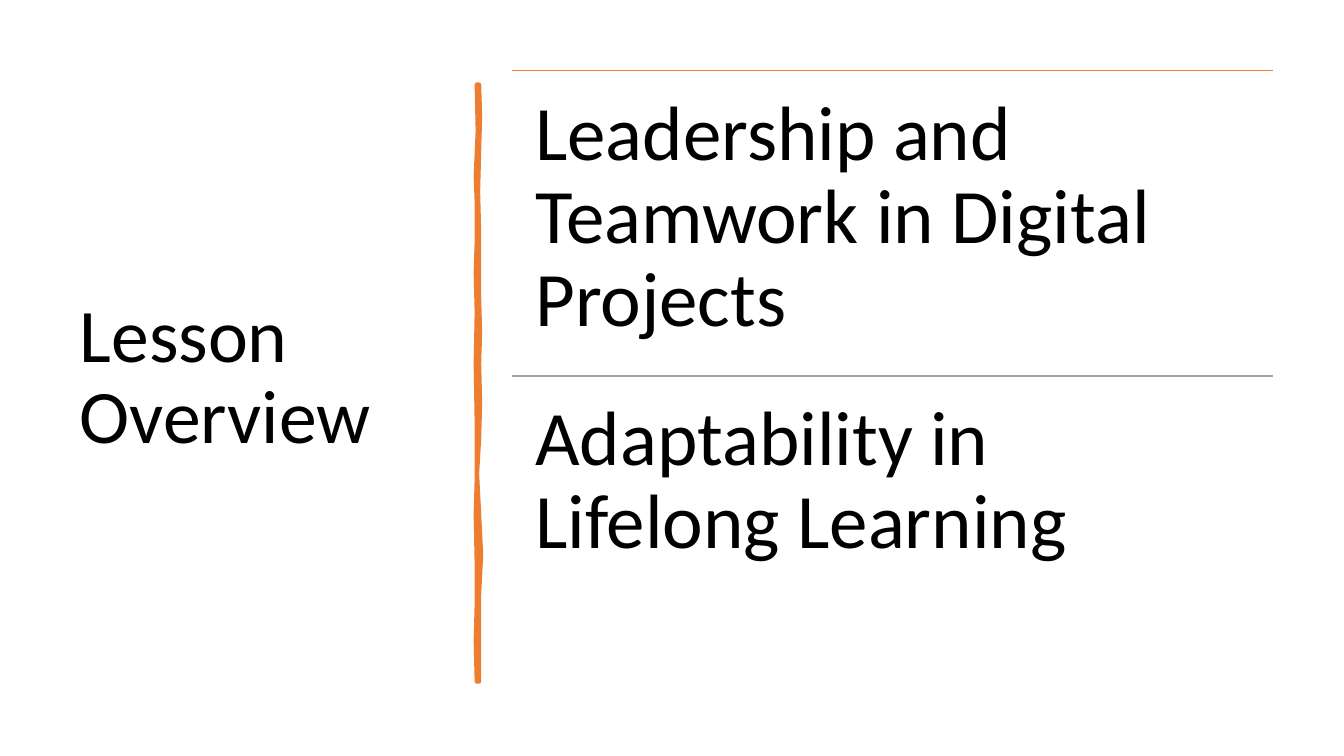
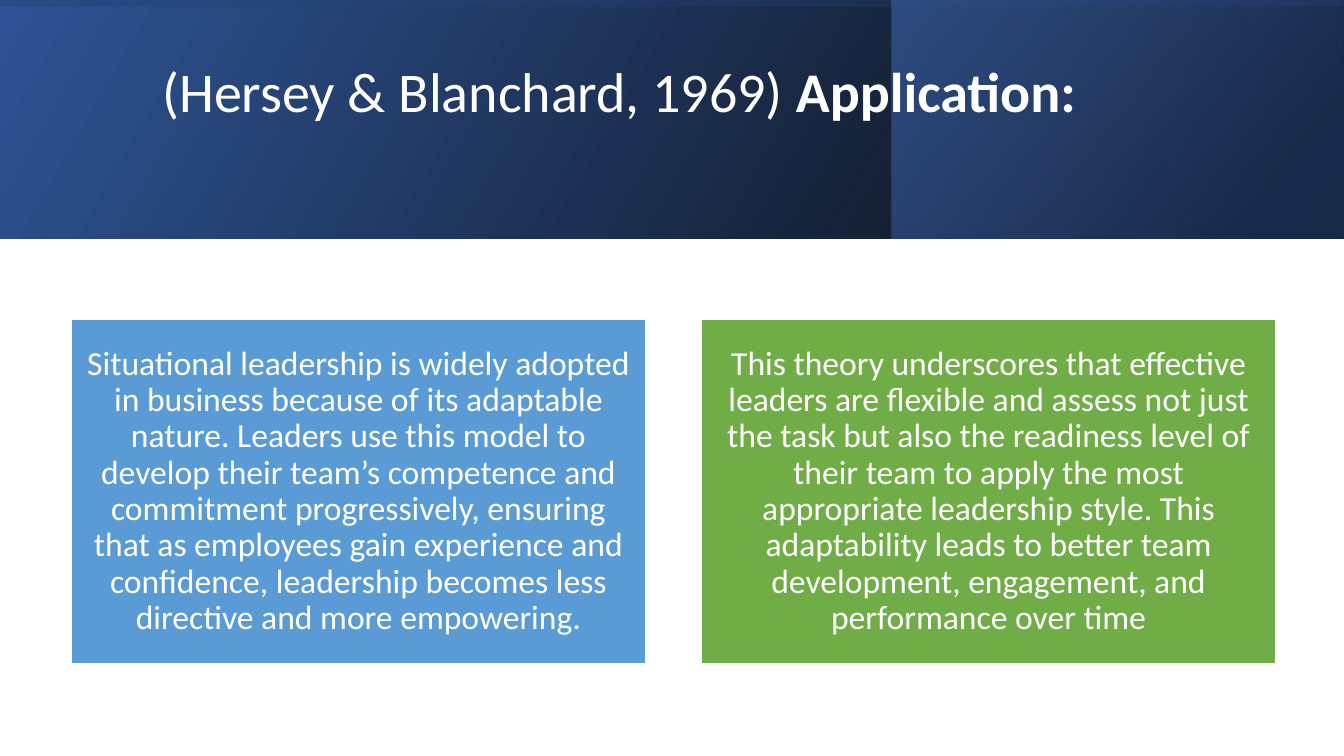
from lxml import etree
from pptx import Presentation
from pptx.dml.color import RGBColor
from pptx.enum import shapes, text
from pptx.oxml.ns import qn
from pptx.util import Inches, Pt

# Shared style
FONT = "Calibri"
BLACK, WHITE, ORANGE, GREY = "000000", "FFFFFF", "ED7D31", "A5A5A5"
BLUE, GREEN = "5B9BD5", "70AD47"
LEFT, CENTER = text.PP_ALIGN.LEFT, text.PP_ALIGN.CENTER
TOP, MIDDLE = text.MSO_ANCHOR.TOP, text.MSO_ANCHOR.MIDDLE

# Content: runs are (text, bold)
OVERVIEW_TITLE = [("Lesson Overview", False)]
TOPICS = [
    ("Leadership and Teamwork in Digital Projects", ORANGE),
    ("Adaptability in Lifelong Learning", GREY),
]
APPLICATION_TITLE = [("(Hersey & Blanchard, 1969) ", False), ("Application:", True)]
CARDS = [
    ("Situational leadership is widely adopted in business because of its "
     "adaptable nature. Leaders use this model to develop their team’s "
     "competence and commitment progressively, ensuring that as employees gain "
     "experience and confidence, leadership becomes less directive and more "
     "empowering.", BLUE),
    ("This theory underscores that effective leaders are flexible and assess "
     "not just the task but also the readiness level of their team to apply "
     "the most appropriate leadership style. This adaptability leads to better "
     "team development, engagement, and performance over time", GREEN),
]

# Header bands: box, rotation, clockwise gradient angle, (position, colour, opacity %)
BANDS = [
    ((0, 0, 13.33, 2.37), 0, 330, [(0, BLACK, 96), (100, "2F5597", 100)]),
    ((8.84, 0, 4.48, 2.37), 0, 320, [(19, "203864", 68), (100, "4472C4", 48)]),
    ((5.48, -5.48, 2.37, 13.33), 270, 350, [(23, "2F5597", 16), (99, BLACK, 45)]),
]

# Hand-drawn divider: right edge downwards, left edge upwards
DIVIDER = [
    (4.75, 0.84), (4.76, 1.15), (4.75, 1.5), (4.74, 1.9), (4.75, 2.3),
    (4.75, 2.95), (4.76, 3.3), (4.75, 3.6), (4.76, 4), (4.75, 4.35),
    (4.73, 4.7), (4.75, 5.1), (4.77, 5.5), (4.75, 5.9), (4.75, 6.76),
    (4.73, 6.76), (4.72, 6.35), (4.73, 6), (4.73, 5.6), (4.72, 5.1),
    (4.73, 4.75), (4.73, 4.2), (4.72, 3.6), (4.73, 3.1), (4.72, 2.7),
    (4.73, 2.4), (4.73, 2), (4.72, 1.75), (4.74, 1.3), (4.73, 0.84),
]


def rgb(value):
    return RGBColor.from_string(value)


def inches(box):
    return [Inches(v) for v in box]


def write(sp, runs, size, color, align=LEFT, anchor=MIDDLE, inset=None):
    tf = sp.text_frame
    tf.word_wrap = True
    tf.auto_size = text.MSO_AUTO_SIZE.NONE
    tf.vertical_anchor = anchor
    if inset is not None:
        tf.margin_left = tf.margin_right = Inches(inset)
        tf.margin_top = tf.margin_bottom = Inches(inset)
    p = tf.paragraphs[0]
    p.alignment, p.line_spacing = align, 0.9
    for words, bold in runs:
        r = p.add_run()
        r.text = words
        r.font.name, r.font.size, r.font.bold = FONT, Pt(size), bold
        r.font.color.rgb = rgb(color)


def set_title(slide, box, runs, size, color):
    sp = slide.shapes.title
    sp.left, sp.top, sp.width, sp.height = inches(box)
    write(sp, runs, size, color)
    return sp


def add_rect(slide, box):
    sp = slide.shapes.add_shape(shapes.MSO_SHAPE.RECTANGLE, *inches(box))
    sp.shadow.inherit = False
    return sp


def add_rule(slide, x, y, width, color):
    line = slide.shapes.add_connector(
        shapes.MSO_CONNECTOR.STRAIGHT, *inches((x, y, x + width, y)))
    line.line.color.rgb = rgb(color)
    line.line.width = Pt(1)
    etree.SubElement(line._element.spPr, qn("a:effectLst"))


def add_band(slide, box, rotation, angle, stops):
    sp = add_rect(slide, box)
    sp.rotation = rotation
    sp.line.fill.background()
    sp.fill.gradient()
    sp.fill.gradient_angle = 360 - angle
    for stop, (position, color, opacity) in zip(sp.fill.gradient_stops, stops):
        stop.position = position / 100
        stop.color.rgb = rgb(color)
    # Mirroring and opacity
    props = sp._element.spPr
    props.find(qn("a:xfrm")).set("flipH", "1")
    for clr, (_, _, opacity) in zip(props.iter(qn("a:srgbClr")), stops):
        etree.SubElement(clr, qn("a:alpha")).set("val", str(opacity * 1000))


def build_overview(slide):
    set_title(slide, (0.69, 0.7, 3.74, 6.11), OVERVIEW_TITLE, 54, BLACK)

    # Divider
    points = [tuple(inches(pt)) for pt in DIVIDER]
    builder = slide.shapes.build_freeform(*points[0])
    builder.add_line_segments(points[1:], close=True)
    divider = builder.convert_to_shape()
    divider.shadow.inherit = False
    divider.fill.solid()
    divider.fill.fore_color.rgb = rgb(ORANGE)
    divider.line.color.rgb = rgb(ORANGE)
    divider.line.width = Pt(3.25)
    etree.SubElement(divider.line._get_or_add_ln(), qn("a:round"))

    # Topics, each under a rule
    x, top, width, height = 5.08, 0.7, 7.55, 3.03
    for i, (topic, color) in enumerate(TOPICS):
        y = top + i * height
        add_rule(slide, x, y, width, color)
        box = slide.shapes.add_textbox(*inches((x, y, width, height)))
        write(box, [(topic, False)], 55, BLACK, anchor=TOP, inset=0.23)


def build_application(slide):
    for band in BANDS:
        add_band(slide, *band)

    # Title, in front of the bands and above their middle
    title = set_title(slide, (1.51, 0.38, 10.63, 1.72), APPLICATION_TITLE, 40, WHITE)
    title.text_frame.margin_bottom = Inches(0.65)
    slide.shapes._spTree.append(title._element)

    # Cards
    x, y, width, height, gap = 0.71, 3.17, 5.69, 3.41, 0.56
    for i, (words, color) in enumerate(CARDS):
        card = add_rect(slide, (x + i * (width + gap), y, width, height))
        card.fill.solid()
        card.fill.fore_color.rgb = rgb(color)
        card.line.color.rgb = rgb(WHITE)
        card.line.width = Pt(1)
        write(card, [(words, False)], 24, WHITE, align=CENTER, inset=0.1)


def main():
    prs = Presentation()
    prs.slide_width, prs.slide_height = Inches(13.33), Inches(7.5)
    title_only = prs.slide_layouts[5]
    for build in (build_overview, build_application):
        build(prs.slides.add_slide(title_only))
    prs.save("out.pptx")


if __name__ == "__main__":
    main()
